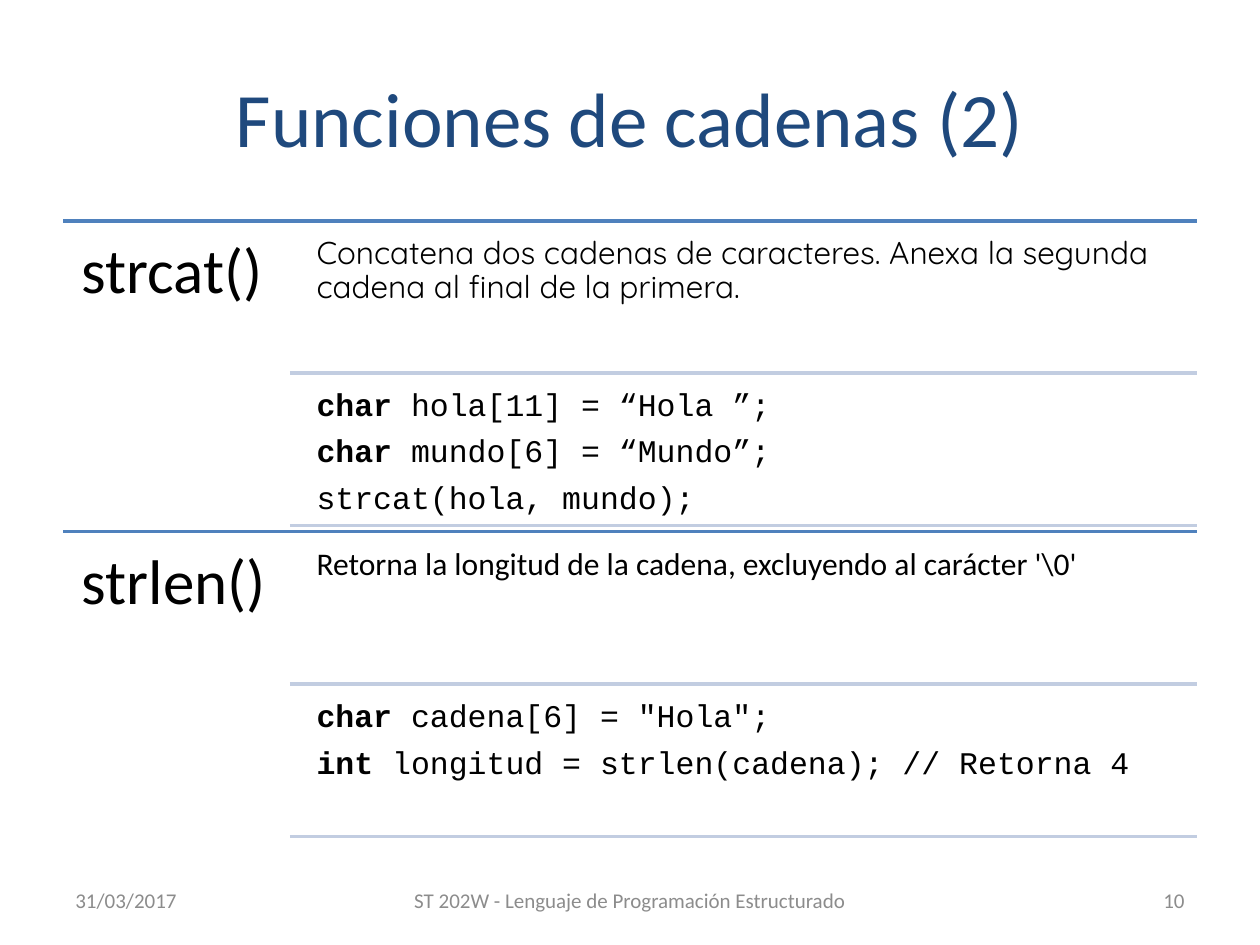
from pptx import Presentation
from pptx.dml.color import RGBColor
from pptx.enum import shapes, text
from pptx.oxml import ns, xmlchemy as xc
from pptx.util import Cm, Pt

HUES = {"title": "1F497D", "rule": "4F81BD", "thin": "C2CDE1",
        "text": "000000", "foot": "8C8C8C"}
SANS, MONO, ROUND = "Calibri", "Courier New", "Quicksand"
LEFT, WIDE = 1.27, 22.86
ALIGN = text.PP_ALIGN

TOPICS = [
    ("strcat()", ROUND,
     "Concatena dos cadenas de caracteres. Anexa la segunda cadena al final de la primera.",
     [("char", " hola[11] = “Hola ”;"),
      ("char", " mundo[6] = “Mundo”;"),
      ("", "strcat(hola, mundo);")]),
    ("strlen()", SANS,
     "Retorna la longitud de la cadena, excluyendo al carácter '\\0'",
     [("char", ' cadena[6] = "Hola";'),
      ("int", " longitud = strlen(cadena); // Retorna 4")]),
]


def write(frame, lines, size=18, font=SANS, hue="text", align=ALIGN.LEFT,
          anchor=text.MSO_ANCHOR.TOP, pad=None, pitch=None, after=0):
    """Fill a frame; each line is a (bold part, plain part) pair."""
    frame.word_wrap = True
    frame.vertical_anchor = anchor
    if pad is not None:
        frame.margin_left = frame.margin_right = Cm(pad)
        frame.margin_top = frame.margin_bottom = Cm(pad)
    for i, parts in enumerate(lines):
        para = frame.add_paragraph() if i else frame.paragraphs[0]
        para.alignment = align
        if pitch:
            para.line_spacing = pitch
            para.space_after = Pt(after)
        for part, bold in zip(parts, (True, False)):
            if part:
                run = para.add_run()
                run.text = part
                run.font.size, run.font.name = Pt(size), font
                run.font.bold = bold
                run.font.color.rgb = RGBColor.from_string(HUES[hue])


def add_text(group, x, y, w, h, lines, **style):
    box = group.add_textbox(Cm(x), Cm(y), Cm(w), Cm(h))
    write(box.text_frame, lines, **style)


def add_rule(group, x, y, w, hue):
    line = group.add_connector(shapes.MSO_CONNECTOR.STRAIGHT,
                               Cm(x), Cm(y), Cm(x + w), Cm(y))
    line.line.color.rgb = RGBColor.from_string(HUES[hue])
    line.line.width = Pt(2)
    line._element.spPr.append(xc.OxmlElement("a:effectLst"))


def add_title(slide, x, y, w, h):
    title = slide.shapes.title
    title.left, title.top, title.width, title.height = map(Cm, (x, y, w, h))
    write(title.text_frame, [("", "Funciones de cadenas (2)")], size=44,
          hue="title", align=ALIGN.CENTER, anchor=text.MSO_ANCHOR.MIDDLE)


def add_topic(group, x, y, w, h, topic):
    """Name on the left; description and code, each ruled below, on the right."""
    name, font, about, code = topic
    side, gap, step = 0.2 * w, 0.15, 0.49 * h
    add_rule(group, x, y, w, "rule")
    add_text(group, x, y, side, h, [("", name)], size=36, pad=0.38, pitch=0.9)
    for i, (lines, face) in enumerate([([("", about)], font), (code, MONO)]):
        top = y + i * step
        add_text(group, x + side + 0.36, top + gap, w - side - 0.36, step - gap,
                 lines, font=face, pad=0.18, pitch=0.9, after=7)
        add_rule(group, x + side, top + step, w - side, "thin")


def add_footer(slide, x, y, w, h):
    side, mid = 5.92, 9.32
    for left, wide, words, align in [
            (x, side, "31/03/2017", ALIGN.LEFT),
            (x + (w - mid) / 2, mid,
             "ST 202W - Lenguaje de Programación Estructurado", ALIGN.CENTER),
            (x + w - side, side, "10", ALIGN.RIGHT)]:
        add_text(slide.shapes, left, y, wide, h, [("", words)], size=12,
                 hue="foot", align=align, anchor=text.MSO_ANCHOR.MIDDLE)


def main():
    deck = Presentation()
    deck.slide_width, deck.slide_height = Cm(25.4), Cm(19.05)
    slide = deck.slides.add_slide(deck.slide_layouts[5])
    add_title(slide, LEFT, 0.76, WIDE, 3.18)
    group = slide.shapes.add_group_shape().shapes
    high = 6.27
    for i, topic in enumerate(TOPICS):
        add_topic(group, LEFT, 4.45 + i * high, WIDE, high, topic)
    add_footer(slide, LEFT, 17.65, WIDE, 1.01)
    deck.save("out.pptx")


if __name__ == "__main__":
    main()
